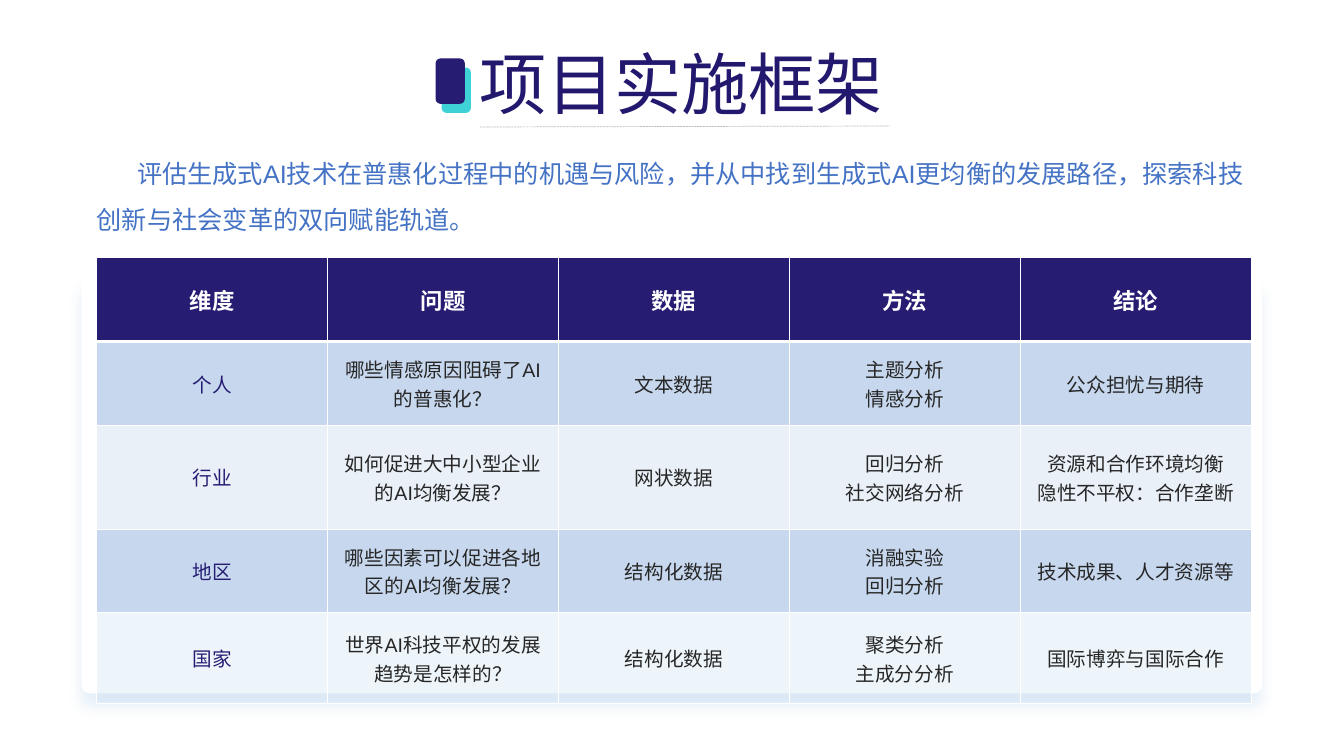
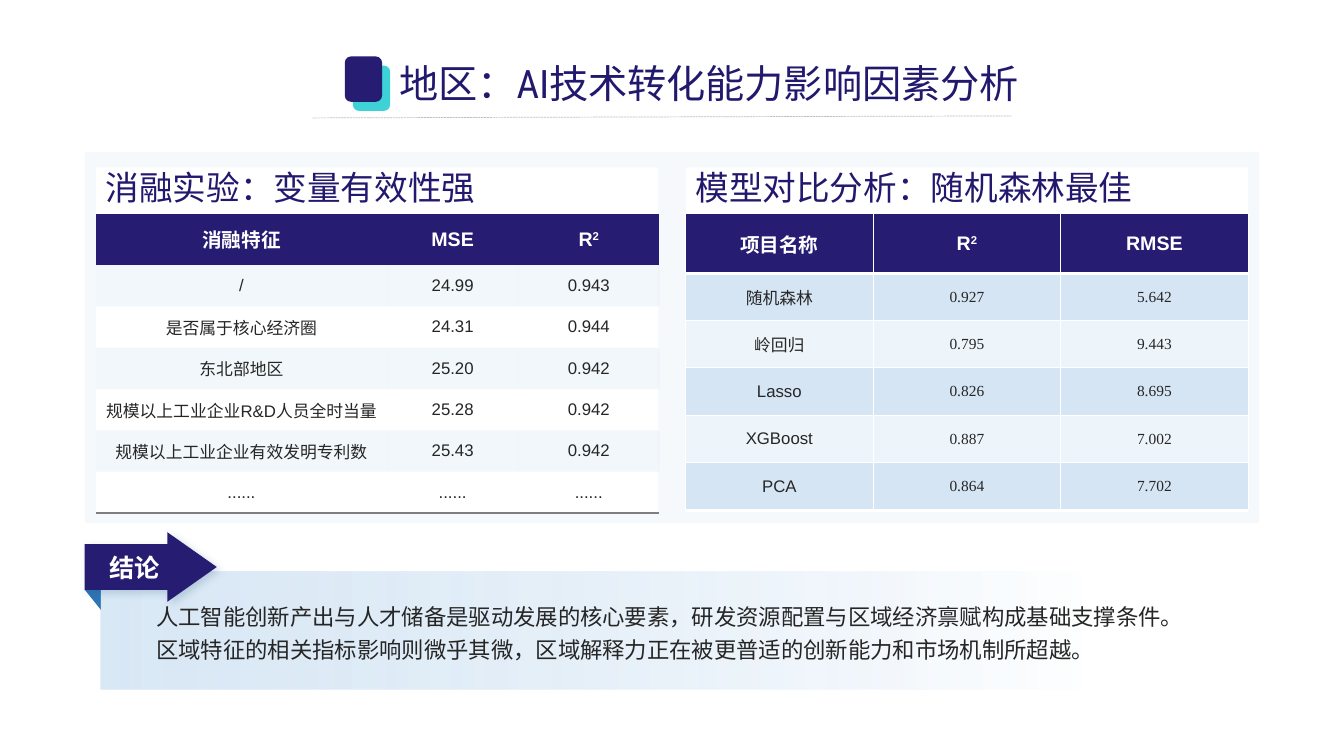
from lxml.etree import SubElement
from pptx import Presentation
from pptx.dml.color import RGBColor
from pptx.enum.dml import MSO_LINE
from pptx.enum.shapes import MSO_CONNECTOR, MSO_SHAPE
from pptx.enum.text import MSO_ANCHOR, MSO_AUTO_SIZE, PP_ALIGN
from pptx.oxml import parse_xml
from pptx.oxml.ns import nsdecls, qn
from pptx.util import Inches, Pt

WHITE = RGBColor(0xFF, 0xFF, 0xFF)
NAVY = RGBColor(0x26, 0x1D, 0x73)
TITLE_NAVY = RGBColor(0x22, 0x19, 0x6E)
TEAL = RGBColor(0x3E, 0xD1, 0xD5)
INK = RGBColor(0x26, 0x26, 0x26)
RULE_GRAY = RGBColor(0xBF, 0xBF, 0xBF)
BORDER_GRAY = RGBColor(0x7F, 0x7F, 0x7F)
INTRO_BLUE = RGBColor(0x44, 0x72, 0xC4)
FOLD_BLUE = RGBColor(0x2E, 0x75, 0xB6)
SHADOW_BLUE = RGBColor(0x5B, 0x9B, 0xD5)
SHADOW_DARK = RGBColor(0x1F, 0x4E, 0x79)
PANEL_BLUE = RGBColor(0xA5, 0xC8, 0xE8)
ROYAL_BAND = (RGBColor(0x22, 0x65, 0xBD), 25)
STEEL_BAND = (RGBColor(0x92, 0xB4, 0xDC), 20)
SKY_BAND = (RGBColor(0x5B, 0x9B, 0xD5), 25)
PALE_BAND = (RGBColor(0xAD, 0xCD, 0xEA), 20)
ICE_BAND = (RGBColor(0xBD, 0xD7, 0xEE), 20)
NO_STYLE = "{2D5ABB26-0587-4C30-8999-92F81FD0307C}"


def write(frame, text, size=14, color=INK, font="Arial", bold=False,
          align=PP_ALIGN.LEFT, spacing=None, margins=None, anchor=None):
    frame.word_wrap = True
    if margins is not None:
        frame.margin_left = frame.margin_right = Inches(margins)
        frame.margin_top = frame.margin_bottom = 0
    if anchor is not None:
        frame.vertical_anchor = anchor
    for number, line in enumerate(text.split("\n")):
        paragraph = frame.add_paragraph() if number else frame.paragraphs[0]
        paragraph.alignment = align
        paragraph.line_spacing = spacing
        for position, piece in enumerate(line.split("^")):
            run = paragraph.add_run()
            run.text = piece
            run.font.size = Pt(size)
            run.font.name = font
            run.font.bold = bold
            run.font.color.rgb = color
            if position:
                run.font._element.set("baseline", "30000")


def add_block(slide, kind, box, color, alpha=100, shadow=None, adjustments=()):
    shape = slide.shapes.add_shape(kind, *map(Inches, box))
    shape.fill.solid()
    shape.fill.fore_color.rgb = color
    shape.line.fill.background()
    shape.shadow.inherit = False
    for number, value in enumerate(adjustments):
        shape.adjustments[number] = value
    properties = shape._element.spPr
    if alpha < 100:
        SubElement(properties.find(".//" + qn("a:srgbClr")), qn("a:alpha"), val=str(alpha * 1000))
    if shadow:
        shadow_color, opacity, blur, distance, angle = shadow
        properties.find(qn("a:effectLst")).append(parse_xml(
            f'<a:outerShdw {nsdecls("a")} blurRad="{Pt(blur)}" dist="{Pt(distance)}" '
            f'dir="{angle * 60000}" algn="t" rotWithShape="0"><a:srgbClr val="{shadow_color}">'
            f'<a:alpha val="{opacity * 1000}"/></a:srgbClr></a:outerShdw>'))
    return shape


presentation = Presentation()
presentation.slide_width = Inches(13.33)
presentation.slide_height = Inches(7.5)
title_only = presentation.slide_layouts[5]
framework_slide = presentation.slides.add_slide(title_only)
region_slide = presentation.slides.add_slide(title_only)

headings = [
    (framework_slide, "项目实施框架", 48, "Arial", (4.66, 0.37, 5.21, 0.9),
     (4.32, 0.58, 0.29), (0.06, 0.09), (4.76, 1.26, 8.82, 1.25)),
    (region_slide, "地区：AI技术转化能力影响因素分析", 28, "Roboto Condensed", (3.86, 0.54, 7.46, 0.57),
     (3.42, 0.56, 0.37), (0.08, 0.09), (3.1, 1.17, 10.03, 1.15)),
]
for slide, text, size, font, box, icon, offset, rule in headings:
    title = slide.shapes.title
    title.left, title.top, title.width, title.height = map(Inches, box)
    title.text_frame.auto_size = MSO_AUTO_SIZE.NONE
    write(title.text_frame, text, size=size, font=font, color=TITLE_NAVY, anchor=MSO_ANCHOR.TOP)
    left, top, width = icon
    add_block(slide, MSO_SHAPE.ROUNDED_RECTANGLE, (left + offset[0], top + offset[1], width, 0.45), TEAL)
    add_block(slide, MSO_SHAPE.ROUNDED_RECTANGLE, (left, top, width, 0.45), NAVY)
    line = slide.shapes.add_connector(MSO_CONNECTOR.STRAIGHT, *map(Inches, rule))
    line.line.color.rgb = RULE_GRAY
    line.line.width = Pt(0.5)
    line.line.dash_style = MSO_LINE.SQUARE_DOT
    SubElement(line._element.spPr, qn("a:effectLst"))

add_block(framework_slide, MSO_SHAPE.ROUNDED_RECTANGLE, (0.81, 2.74, 11.71, 4.14), WHITE,
          shadow=(SHADOW_BLUE, 15, 10, 10, 90), adjustments=(0.02,))
intro = framework_slide.shapes.add_textbox(Inches(0.96), Inches(1.38), Inches(11.61), Inches(0.99))
write(intro.text_frame, "评估生成式AI技术在普惠化过程中的机遇与风险，并从中找到生成式AI更均衡的发展路径，"
      "探索科技创新与社会变革的双向赋能轨道。",
      size=18, color=INTRO_BLUE, spacing=1.5, margins=0, anchor=MSO_ANCHOR.MIDDLE)
intro.text_frame.paragraphs[0]._p.get_or_add_pPr().set("indent", str(Inches(0.4)))

add_block(region_slide, MSO_SHAPE.RECTANGLE, (0.84, 1.51, 11.65, 3.68), PANEL_BLUE, alpha=10)
for left, text in [(0.95, "消融实验：变量有效性强"), (6.8, "模型对比分析：随机森林最佳")]:
    add_block(region_slide, MSO_SHAPE.RECTANGLE, (left, 1.66, 5.58, 3.42), WHITE)
    label = region_slide.shapes.add_textbox(Inches(left), Inches(1.61), Inches(5.58), Inches(0.5))
    write(label.text_frame, text, size=24, font="Roboto Condensed", color=TITLE_NAVY)

framework_rows = [
    ["维度", "问题", "数据", "方法", "结论"],
    ["个人", "哪些情感原因阻碍了AI的普惠化？", "文本数据", "主题分析\n情感分析", "公众担忧与期待"],
    ["行业", "如何促进大中小型企业的AI均衡发展？", "网状数据", "回归分析\n社交网络分析",
     "资源和合作环境均衡\n隐性不平权：合作垄断"],
    ["地区", "哪些因素可以促进各地区的AI均衡发展？", "结构化数据", "消融实验\n回归分析", "技术成果、人才资源等"],
    ["国家", "世界AI科技平权的发展趋势是怎样的？", "结构化数据", "聚类分析\n主成分分析", "国际博弈与国际合作"],
]
model_rows = [
    ["项目名称", "R^2", "RMSE"],
    ["随机森林", "0.927", "5.642"],
    ["岭回归", "0.795", "9.443"],
    ["Lasso", "0.826", "8.695"],
    ["XGBoost", "0.887", "7.002"],
    ["PCA", "0.864", "7.702"],
]
ablation_rows = [
    ["消融特征", "MSE", "R^2"],
    ["/", "24.99", "0.943"],
    ["是否属于核心经济圈", "24.31", "0.944"],
    ["东北部地区", "25.20", "0.942"],
    ["规模以上工业企业R&D人员全时当量", "25.28", "0.942"],
    ["规模以上工业企业有效发明专利数", "25.43", "0.942"],
    ["......", "......", "......"],
]
framework_format = {"size": 14}
label_format = {"size": 12}
number_format = {"size": 11, "font": "Times New Roman"}
tables = [
    (framework_slide, framework_rows, (0.96, 2.56), [2.29] * 5, [0.83, 0.83, 1.03, 0.83, 0.9], 16,
     [ROYAL_BAND, STEEL_BAND, ROYAL_BAND, PALE_BAND],
     [{"size": 14, "color": NAVY}] + [framework_format] * 4, True),
    (region_slide, model_rows, (6.8, 2.12), [1.86] * 3, [0.59] + [0.47] * 5, 14,
     [SKY_BAND, PALE_BAND] * 3, [label_format, number_format, number_format], True),
    (region_slide, ablation_rows, (0.95, 2.12), [2.89, 1.3, 1.4], [0.51] + [0.41] * 6, 14,
     [ICE_BAND, None] * 3, [label_format] * 3, False),
]
for slide, rows, corner, widths, heights, header_size, bands, formats, gridded in tables:
    frame = slide.shapes.add_table(len(rows), len(widths), *map(Inches, (*corner, sum(widths), sum(heights))))
    table = frame.table
    table._tbl.tblPr.find(qn("a:tableStyleId")).text = NO_STYLE
    for column, width in zip(table.columns, widths):
        column.width = Inches(width)
    for row, height in zip(table.rows, heights):
        row.height = Inches(height)
    for row_number, texts in enumerate(rows):
        band = bands[row_number - 1] if row_number else (NAVY, 100)
        for column_number, text in enumerate(texts):
            cell = table.cell(row_number, column_number)
            cell.vertical_anchor = MSO_ANCHOR.MIDDLE
            if row_number and slide is region_slide:
                cell.margin_left = cell.margin_right = Inches(0.07)
                cell.margin_top = cell.margin_bottom = 0
            cell_format = formats[column_number]
            if row_number == 0:
                cell_format = {"size": header_size, "color": WHITE, "bold": True}
            write(cell.text_frame, text, align=PP_ALIGN.CENTER, **cell_format)
            properties = cell._tc.get_or_add_tcPr()
            if band:
                cell.fill.solid()
                cell.fill.fore_color.rgb = band[0]
                SubElement(properties.find(".//" + qn("a:srgbClr")), qn("a:alpha"), val=str(band[1] * 1000))
            else:
                cell.fill.background()
            borders = []
            if gridded:
                borders = [("lnL", WHITE, 1), ("lnR", WHITE, 1), ("lnB", WHITE, 1 if row_number else 2.25)]
            elif row_number == len(rows) - 1:
                borders = [("lnB", BORDER_GRAY, 1)]
            for position, (side, color, weight) in enumerate(borders):
                properties.insert(position, parse_xml(
                    f'<a:{side} {nsdecls("a")} w="{Pt(weight)}"><a:solidFill>'
                    f'<a:srgbClr val="{color}"/></a:solidFill></a:{side}>'))

fold = add_block(region_slide, MSO_SHAPE.RIGHT_TRIANGLE, (0.84, 5.85, 0.16, 0.2), FOLD_BLUE)
fold.rotation = 180
conclusion = add_block(region_slide, MSO_SHAPE.RECTANGLE, (1, 5.67, 11.5, 1.17), WHITE)
solid_fill = conclusion._element.spPr.find(qn("a:solidFill"))
solid_fill.getparent().replace(solid_fill, parse_xml(
    f'<a:gradFill {nsdecls("a")} rotWithShape="1"><a:gsLst>'
    '<a:gs pos="15000"><a:srgbClr val="5B9BD5"><a:alpha val="0"/></a:srgbClr></a:gs>'
    '<a:gs pos="100000"><a:srgbClr val="94BEE4"><a:alpha val="35000"/></a:srgbClr></a:gs>'
    '</a:gsLst><a:lin ang="10800000" scaled="0"/></a:gradFill>'))
write(conclusion.text_frame, "人工智能创新产出与人才储备是驱动发展的核心要素，研发资源配置与区域经济禀赋构成基础支撑条件。"
      "区域特征的相关指标影响则微乎其微，区域解释力正在被更普适的创新能力和市场机制所超越。",
      size=16, font="Noto Sans CJK JP", spacing=1.2, margins=0.55, anchor=MSO_ANCHOR.MIDDLE)
arrow = add_block(region_slide, MSO_SHAPE.RIGHT_ARROW, (0.84, 5.28, 1.31, 0.69), NAVY,
                  shadow=(SHADOW_DARK, 20, 6, 3, 45), adjustments=(0.66, 0.71))
write(arrow.text_frame, "结论", size=18, color=WHITE, bold=True,
      align=PP_ALIGN.CENTER, margins=0, anchor=MSO_ANCHOR.MIDDLE)
arrow.text_frame.word_wrap = False

presentation.save("out.pptx")
